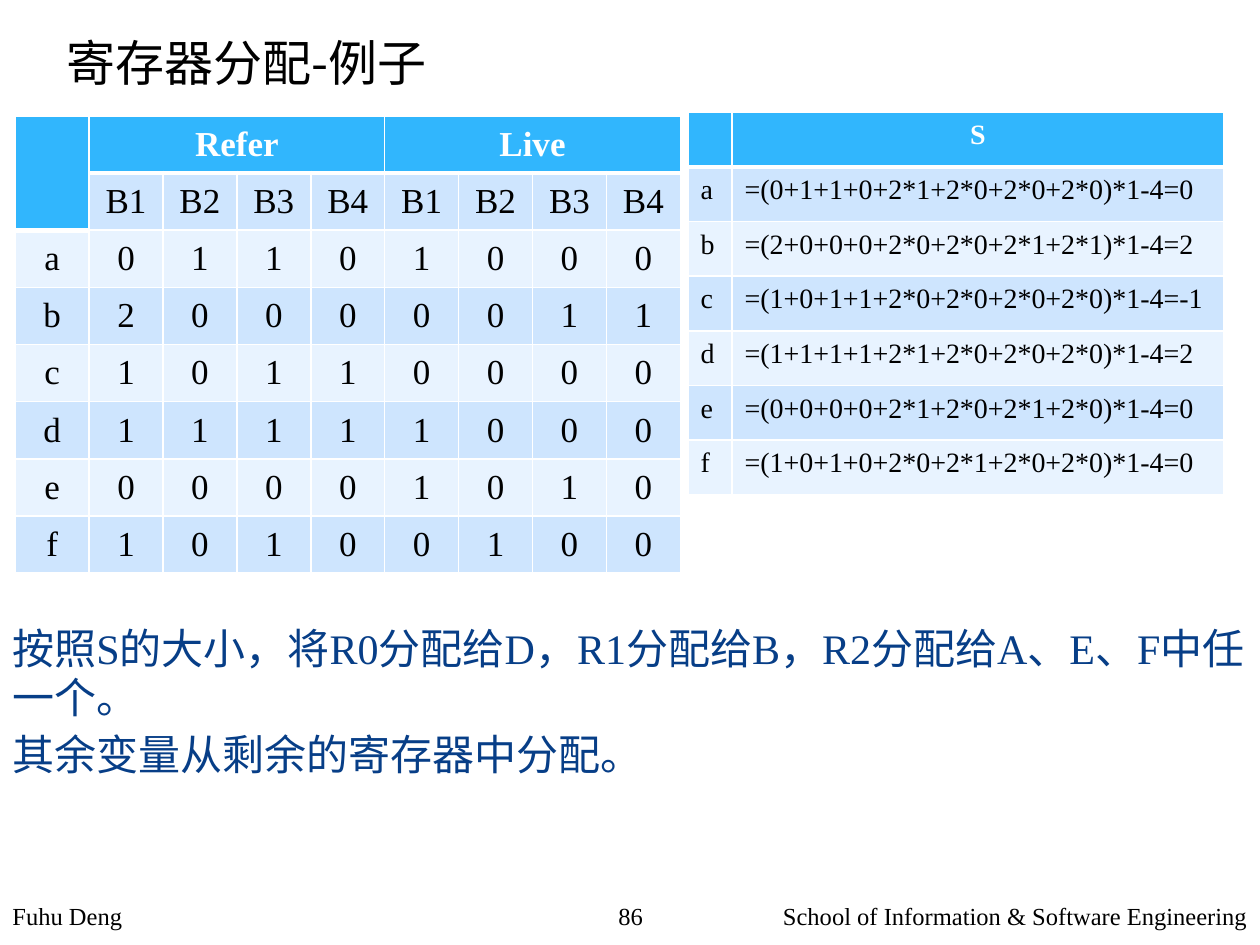
from lxml import etree
from pptx import Presentation
from pptx.dml.color import RGBColor
from pptx.enum.text import MSO_ANCHOR, PP_ALIGN
from pptx.oxml.ns import qn
from pptx.util import Inches, Pt

LEFT, CENTER, RIGHT = PP_ALIGN.LEFT, PP_ALIGN.CENTER, PP_ALIGN.RIGHT
TOP, MIDDLE = MSO_ANCHOR.TOP, MSO_ANCHOR.MIDDLE

BLACK = RGBColor(0x00, 0x00, 0x00)
WHITE = RGBColor(0xFF, 0xFF, 0xFF)
NAVY = RGBColor(0x07, 0x3E, 0x87)
HEADER_BLUE = RGBColor(0x31, 0xB6, 0xFD)
BAND_BLUE = RGBColor(0xCE, 0xE5, 0xFE)
BAND_PALE = RGBColor(0xE8, 0xF3, 0xFF)

SERIF = "Times New Roman"
CJK = "Noto Sans CJK SC"

USAGE_ROWS = [
    ["", "Refer", "", "", "", "Live", "", "", ""],
    ["", "B1", "B2", "B3", "B4", "B1", "B2", "B3", "B4"],
    *(list(row) for row in ("a01101000", "b20000011", "c10110000",
                            "d11111000", "e00001010", "f10100100")),
]
SAVING_ROWS = [
    ["", "S"],
    ["a", "=(0+1+1+0+2*1+2*0+2*0+2*0)*1-4=0"],
    ["b", "=(2+0+0+0+2*0+2*0+2*1+2*1)*1-4=2"],
    ["c", "=(1+0+1+1+2*0+2*0+2*0+2*0)*1-4=-1"],
    ["d", "=(1+1+1+1+2*1+2*0+2*0+2*0)*1-4=2"],
    ["e", "=(0+0+0+0+2*1+2*0+2*1+2*0)*1-4=0"],
    ["f", "=(1+0+1+0+2*0+2*1+2*0+2*0)*1-4=0"],
]
CONCLUSION = [
    "按照S的大小，将R0分配给D，R1分配给B，R2分配给A、E、F中任一个。",
    "其余变量从剩余的寄存器中分配。",
]


def format_para(para, size, color, font=SERIF, bold=False, align=LEFT):
    para.alignment = align
    for span in para.runs:
        span.font.size = Pt(size)
        span.font.name = font
        span.font.bold = bold
        span.font.color.rgb = color
        east_asian = etree.SubElement(span.font._element, qn("a:ea"))
        east_asian.set("typeface", CJK)


def add_text(page, box, lines, size, color=BLACK, font=SERIF, align=LEFT,
             line_height=None, gap=0, top_inset=0.05):
    frame = page.shapes.add_textbox(*(Inches(v) for v in box)).text_frame
    frame.word_wrap = True
    frame.margin_top = Inches(top_inset)
    frame.text = "\n".join(lines)
    for index, para in enumerate(frame.paragraphs):
        format_para(para, size, color, font, align=align)
        if line_height:
            para.line_spacing = Pt(line_height)
        if index:
            para.space_before = Pt(gap)


def set_borders(cell, bottom_width):
    properties = cell._tc.get_or_add_tcPr()
    widths = {"a:lnL": 1, "a:lnR": 1, "a:lnT": 1, "a:lnB": bottom_width}
    for position, (tag, width) in enumerate(widths.items()):
        line = etree.Element(qn(tag), w=str(Pt(width)))
        fill = etree.SubElement(line, qn("a:solidFill"))
        etree.SubElement(fill, qn("a:srgbClr"), val=str(WHITE))
        properties.insert(position, line)


def add_grid(page, left, top, rows, widths, row_height, size, align, anchor,
             header_cells):
    """Banded table; header_cells holds the (row, column) header positions."""
    frame = page.shapes.add_table(
        len(rows), len(widths), Inches(left), Inches(top),
        Inches(sum(widths)), Inches(row_height * len(rows)))
    table = frame.table
    for column, width in zip(table.columns, widths):
        column.width = Inches(width)
    for r, row in enumerate(rows):
        table.rows[r].height = Inches(row_height)
        for c, text in enumerate(row):
            cell = table.cell(r, c)
            header = (r, c) in header_cells
            cell.fill.solid()
            band = BAND_BLUE if r % 2 else BAND_PALE
            cell.fill.fore_color.rgb = HEADER_BLUE if header else band
            set_borders(cell, 3 if header else 1)
            cell.vertical_anchor = anchor
            cell.margin_left = cell.margin_right = Inches(0.1)
            cell.margin_top = cell.margin_bottom = Inches(0.06)
            if text:
                cell.text_frame.text = text
                format_para(cell.text_frame.paragraphs[0], size,
                            WHITE if header else BLACK, bold=header,
                            align=CENTER if header else align)
    return table


def add_usage_table(page, left, top):
    header_cells = {(0, c) for c in range(9)} | {(1, 0)}
    table = add_grid(page, left, top, USAGE_ROWS, [0.587] * 9, 0.443, 20,
                     CENTER, MIDDLE, header_cells)
    table.cell(0, 0).merge(table.cell(1, 0))
    for first in (1, 5):
        table.cell(0, first).merge(table.cell(0, first + 3))


def add_saving_table(page, left, top):
    add_grid(page, left, top, SAVING_ROWS, [0.35, 3.9], 0.434, 16,
             LEFT, TOP, {(0, 0), (0, 1)})


def add_footer(page, top, height):
    parts = [
        (0, 4.69, "Fuhu Deng", LEFT),
        (4.69, 0.63, "86", CENTER),
        (5.31, 4.69, "School of Information & Software Engineering", RIGHT),
    ]
    for left, width, text, align in parts:
        add_text(page, (left, top, width, height), [text], 14, align=align)


def main():
    deck = Presentation()
    deck.slide_width, deck.slide_height = Inches(10), Inches(7.5)
    page = deck.slides.add_slide(deck.slide_layouts[6])

    # Title
    add_text(page, (0.43, 0.18, 7.16, 0.73), ["寄存器分配-例子"], 28,
             font=CJK, line_height=36)
    # Reference counts and the saving of each variable
    add_usage_table(page, 0.12, 0.92)
    add_saving_table(page, 5.46, 0.89)
    # Conclusion
    add_text(page, (0, 4.85, 10, 1.97), CONCLUSION, 24, NAVY,
             line_height=28, gap=4.8, top_inset=0.1)
    add_footer(page, 7.1, 0.4)

    deck.save("out.pptx")


if __name__ == "__main__":
    main()
